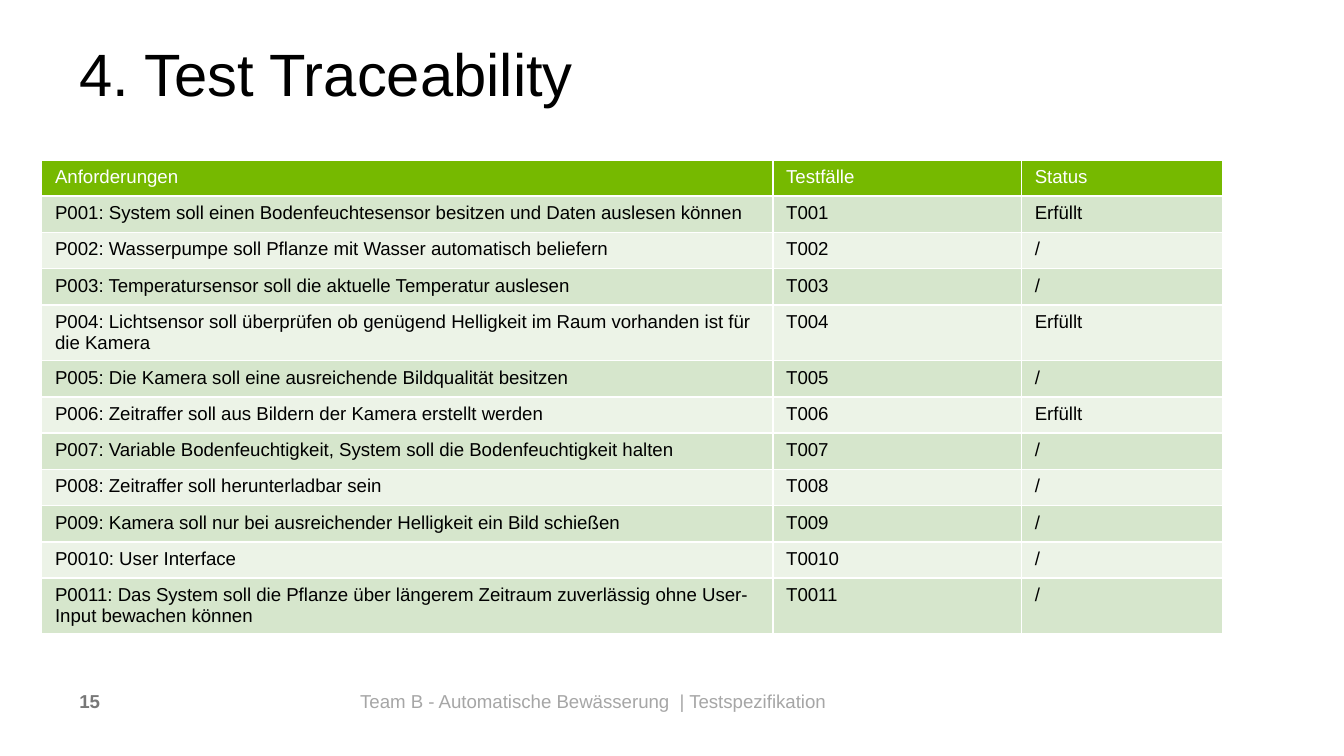
"""Build the test traceability slide with its requirements table."""
from pptx import Presentation
from pptx.dml.color import RGBColor
from pptx.enum.text import MSO_ANCHOR, PP_ALIGN
from pptx.util import Inches, Pt

TITLE = "4. Test Traceability"
HEAD = ("Anforderungen", "Testfälle", "Status")
TESTS = [
    ("P001: System soll einen Bodenfeuchtesensor besitzen und Daten auslesen können", "T001", "Erfüllt"),
    ("P002: Wasserpumpe soll Pflanze mit Wasser automatisch beliefern", "T002", "/"),
    ("P003: Temperatursensor soll die aktuelle Temperatur auslesen", "T003", "/"),
    ("P004: Lichtsensor soll überprüfen ob genügend Helligkeit im Raum vorhanden ist für die Kamera",
     "T004", "Erfüllt"),
    ("P005: Die Kamera soll eine ausreichende Bildqualität besitzen", "T005", "/"),
    ("P006: Zeitraffer soll aus Bildern der Kamera erstellt werden", "T006", "Erfüllt"),
    ("P007: Variable Bodenfeuchtigkeit, System soll die Bodenfeuchtigkeit halten", "T007", "/"),
    ("P008: Zeitraffer soll herunterladbar sein", "T008", "/"),
    ("P009: Kamera soll nur bei ausreichender Helligkeit ein Bild schießen", "T009", "/"),
    ("P0010: User Interface", "T0010", "/"),
    ("P0011: Das System soll die Pflanze über längerem Zeitraum zuverlässig ohne User-Input bewachen können",
     "T0011", "/"),
]
WIDTHS = (5.44, 1.85, 1.5)
ROW = 0.27

BLACK = RGBColor(0x00, 0x00, 0x00)
WHITE = RGBColor(0xFF, 0xFF, 0xFF)
GREEN = RGBColor(0x76, 0xB9, 0x00)
BANDS = (RGBColor(0xD6, 0xE6, 0xCC), RGBColor(0xEC, 0xF3, 0xE7))
GREY = RGBColor(0xA6, 0xA6, 0xA6)
DARK = RGBColor(0x78, 0x78, 0x78)

FOOTER = [
    ("Team B - Automatische Bewässerung  | Testspezifikation", 2.68, 6, GREY, False),
    ("15", 0.59, 1.89, DARK, True),
]


def write(frame, text, size, color, bold=False):
    frame.text = text
    para = frame.paragraphs[0]
    para.alignment = PP_ALIGN.LEFT
    font = para.runs[0].font
    font.name, font.size, font.bold = "Arial", Pt(size), bold
    font.color.rgb = color


def trim(frame, anchor):
    frame.margin_left = frame.margin_right = 0
    frame.margin_top = frame.margin_bottom = 0
    frame.word_wrap = True
    frame.vertical_anchor = anchor


def add_title(slide):
    title = slide.shapes.title
    title.left, title.top = Inches(0.59), Inches(0.33)
    title.width, title.height = Inches(8.23), Inches(0.48)
    write(title.text_frame, TITLE, 32, BLACK)
    title.text_frame.paragraphs[0].line_spacing = Pt(34)
    trim(title.text_frame, MSO_ANCHOR.MIDDLE)


def add_footer(slide):
    for text, left, width, color, bold in FOOTER:
        box = slide.shapes.add_textbox(Inches(left), Inches(5.13), Inches(width), Inches(0.2))
        write(box.text_frame, text, 10, color, bold)
        trim(box.text_frame, MSO_ANCHOR.TOP)


def add_tests(slide):
    rows = [HEAD, *TESTS]
    frame = slide.shapes.add_table(
        len(rows), len(HEAD), Inches(0.31), Inches(1.19), Inches(8.8), Inches(3.56))
    table = frame.table
    for col, width in zip(table.columns, WIDTHS):
        col.width = Inches(width)
    for i, texts in enumerate(rows):
        table.rows[i].height = Inches(ROW)
        fill, color = (BANDS[(i - 1) % 2], BLACK) if i else (GREEN, WHITE)
        for j, text in enumerate(texts):
            cell = table.cell(i, j)
            cell.margin_bottom = Inches(0.03)
            cell.fill.solid()
            cell.fill.fore_color.rgb = fill
            write(cell.text_frame, text, 10, color)
    frame.width, frame.height = Inches(8.8), Inches(3.56)


def main():
    deck = Presentation()
    deck.slide_width = Inches(10)
    deck.slide_height = deck.slide_width * 9 // 16
    slide = deck.slides.add_slide(deck.slide_layouts[5])
    add_title(slide)
    add_footer(slide)
    add_tests(slide)
    deck.save("out.pptx")


if __name__ == "__main__":
    main()
